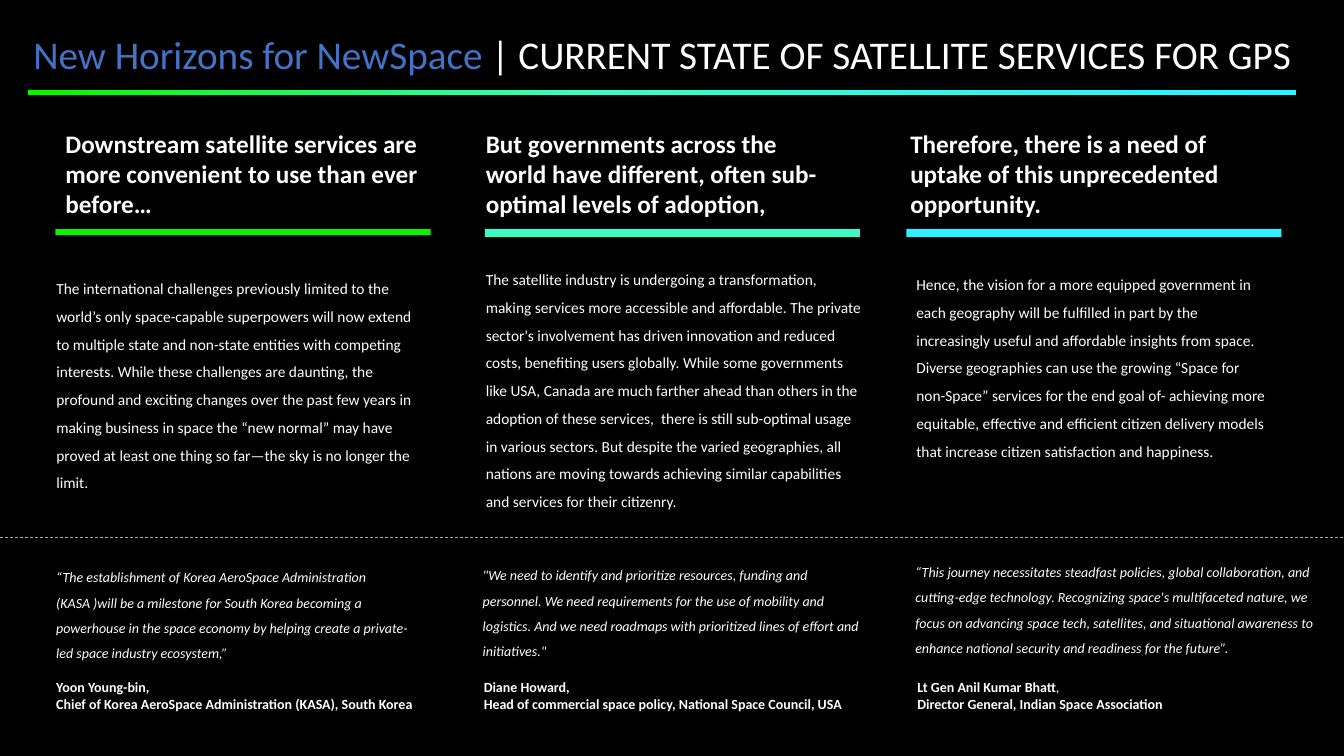
from copy import deepcopy
from dataclasses import dataclass

from pptx import Presentation
from pptx.dml.color import RGBColor
from pptx.enum.dml import MSO_LINE
from pptx.enum.shapes import MSO_CONNECTOR, MSO_SHAPE
from pptx.enum.text import MSO_ANCHOR, MSO_AUTO_SIZE, PP_ALIGN
from pptx.oxml.ns import qn
from pptx.util import Inches, Pt
from lxml.etree import SubElement


@dataclass(frozen=True)
class Theme:
    font: str = "Calibri"
    black: str = "000000"
    white: str = "FFFFFF"
    blue: str = "4472C4"
    grey: str = "A6A6A6"
    green: str = "0DF200"
    mint: str = "3EFAC5"
    cyan: str = "33F0FF"
    title: int = 28
    heading: int = 18
    body: int = 11
    small: int = 10


@dataclass(frozen=True)
class Column:
    """One argument: its texts, its accent colour and its places in shares."""
    accent: str
    heading: str
    body: str
    quote: str
    speaker: list
    bar_at: tuple
    heading_at: tuple
    body_at: tuple
    quote_at: tuple
    speaker_at: tuple


THEME = Theme()
WIDTH, HEIGHT = Inches(13.33), Inches(7.5)

COLUMNS = [
    Column(
        THEME.green,
        "Downstream satellite services are more convenient to use than ever before…",
        "The international challenges previously limited to the world’s only space-capable "
        "superpowers will now extend to multiple state and non-state entities with competing "
        "interests. While these challenges are daunting, the profound and exciting changes over "
        "the past few years in making business in space the “new normal” may have proved at "
        "least one thing so far—the sky is no longer the limit.",
        "“The establishment of Korea AeroSpace Administration (KASA )will be a milestone for "
        "South Korea becoming a powerhouse in the space economy by helping create a private-led "
        "space industry ecosystem,”",
        [[("Yoon Young-bin,", True)],
         [("Chief of Korea AeroSpace Administration (KASA), South Korea", True)]],
        bar_at=(4.13, 30.27, 27.91, 0.8), heading_at=(4.13, 16.27, 27.91, 13.47),
        body_at=(3.45, 35.07, 28.51, 30.53), quote_at=(3.45, 73.47, 28.43, 14.4),
        speaker_at=(3.45, 89.07, 28.43, 5.87)),
    Column(
        THEME.mint,
        "But governments across the world have different, often sub-optimal levels of adoption,",
        "The satellite industry is undergoing a transformation, making services more accessible "
        "and affordable. The private sector's involvement has driven innovation and reduced "
        "costs, benefiting users globally. While some governments like USA, Canada are much "
        "farther ahead than others in the adoption of these services,  there is still "
        "sub-optimal usage in various sectors. But despite the varied geographies, all nations "
        "are moving towards achieving similar capabilities and services for their citizenry.",
        '"We need to identify and prioritize resources, funding and personnel. We need '
        "requirements for the use of mobility and logistics. And we need roadmaps with "
        'prioritized lines of effort and initiatives."',
        [[("Diane Howard,", True)],
         [("Head of commercial space policy, National Space Council, USA", True)]],
        bar_at=(36.08, 30.27, 27.91, 1.07), heading_at=(35.41, 16.27, 27.91, 13.47),
        body_at=(35.41, 33.87, 29.63, 34.27), quote_at=(35.18, 73.2, 29.63, 14.4),
        speaker_at=(35.26, 89.07, 29.63, 5.87)),
    Column(
        THEME.cyan,
        "Therefore, there is a need of uptake of this unprecedented opportunity.",
        "Hence, the vision for a more equipped government in each geography will be fulfilled in "
        "part by the increasingly useful and affordable insights from space. Diverse geographies "
        "can use the growing “Space for non-Space” services for the end goal of- achieving more "
        "equitable, effective and efficient citizen delivery models that increase citizen "
        "satisfaction and happiness.",
        "“This journey necessitates steadfast policies, global collaboration, and cutting-edge "
        "technology. Recognizing space's multifaceted nature, we focus on advancing space tech, "
        "satellites, and situational awareness to enhance national security and readiness for "
        "the future”.",
        [[("Lt Gen Anil Kumar Bhatt", True), (",", False)],
         [("Director General, Indian Space Association", True)]],
        bar_at=(67.44, 30.27, 27.91, 1.07), heading_at=(66.99, 16.27, 28.36, 13.47),
        body_at=(67.44, 34.53, 27.91, 26.93), quote_at=(67.37, 72.8, 31.06, 14.4),
        speaker_at=(67.52, 89.07, 23.41, 5.87)),
]


def shares(left, top, width, height):
    """Turn percentages of the slide into lengths."""
    return [round(share * side / 100) for share, side in
            zip((left, top, width, height), (WIDTH, HEIGHT, WIDTH, HEIGHT))]


def apply(target, values):
    for name, value in values.items():
        setattr(target, name, value)


def add_span(para, text, size, color=THEME.white, **style):
    span = para.add_run()
    span.text = text
    apply(span.font, {"name": THEME.font, "size": Pt(size), **style})
    span.font.color.rgb = RGBColor.from_string(color)


def add_text(page, at, paragraphs, size, spacing=1.0, **style):
    """Add a text box; each paragraph is a list of (text, bold) spans."""
    frame = page.shapes.add_textbox(*shares(*at)).text_frame
    frame.word_wrap = True
    for index, spans in enumerate(paragraphs):
        para = frame.add_paragraph() if index else frame.paragraphs[0]
        para.line_spacing = spacing
        for text, bold in spans:
            add_span(para, text, size, bold=bold, **style)


def add_bar(page, at, color):
    bar = page.shapes.add_shape(MSO_SHAPE.RECTANGLE, *shares(*at))
    bar.shadow.inherit = False
    bar.line.fill.background()
    bar.fill.solid()
    bar.fill.fore_color.rgb = RGBColor.from_string(color)
    return bar


def blend(bar, stops):
    """Fill a bar with a left-to-right gradient of (position, colour) stops."""
    bar.fill.gradient()
    bar.fill.gradient_angle = 0
    stop_list = bar.fill._xPr.find(qn("a:gradFill")).find(qn("a:gsLst"))
    while len(stop_list) < len(stops):
        stop_list.append(deepcopy(stop_list[0]))
    for stop, (position, color) in zip(bar.fill.gradient_stops, stops):
        stop.position = position
        stop.color.rgb = RGBColor.from_string(color)


def add_divider(page, top):
    left, y, width, _ = shares(0, top, 100, 0)
    divider = page.shapes.add_connector(MSO_CONNECTOR.STRAIGHT, left, y, width, y)
    apply(divider.line, {"width": Pt(0.5), "dash_style": MSO_LINE.DASH})
    divider.line.color.rgb = RGBColor.from_string(THEME.grey)
    SubElement(divider._element.spPr, qn("a:effectLst"))


def set_title(page, at, spans):
    title = page.shapes.title
    apply(title, dict(zip(("left", "top", "width", "height"), shares(*at))))
    frame = title.text_frame
    apply(frame, {"margin_left": 0, "margin_right": 0, "margin_top": 0, "margin_bottom": 0,
                  "word_wrap": True, "auto_size": MSO_AUTO_SIZE.NONE,
                  "vertical_anchor": MSO_ANCHOR.MIDDLE})
    para = frame.paragraphs[0]
    para.alignment = PP_ALIGN.LEFT
    for text, color in spans:
        add_span(para, text, THEME.title, color)


def add_column(page, column):
    add_bar(page, column.bar_at, column.accent)
    add_text(page, column.heading_at, [[(column.heading, True)]], THEME.heading)
    add_text(page, column.body_at, [[(column.body, False)]], THEME.body, 1.5)
    add_text(page, column.quote_at, [[(column.quote, False)]], THEME.small, 1.5, italic=True)
    add_text(page, column.speaker_at, column.speaker, THEME.small)


def main():
    deck = Presentation()
    apply(deck, {"slide_width": WIDTH, "slide_height": HEIGHT})
    page = deck.slides.add_slide(deck.slide_layouts.get_by_name("Title Only"))
    page.background.fill.solid()
    page.background.fill.fore_color.rgb = RGBColor.from_string(THEME.black)

    set_title(page, (2.48, 3.73, 97.5, 6.8), [
        ("New Horizons for NewSpace ", THEME.blue),
        ("| CURRENT STATE OF SATELLITE SERVICES FOR GPS", THEME.white)])
    title_bar = add_bar(page, (2.1, 11.87, 94.37, 0.67), THEME.green)
    blend(title_bar, [(0, THEME.green), (0.43, THEME.mint), (1, THEME.cyan)])
    for column in COLUMNS:
        add_column(page, column)
    add_divider(page, 71.07)
    deck.save("out.pptx")


if __name__ == "__main__":
    main()
